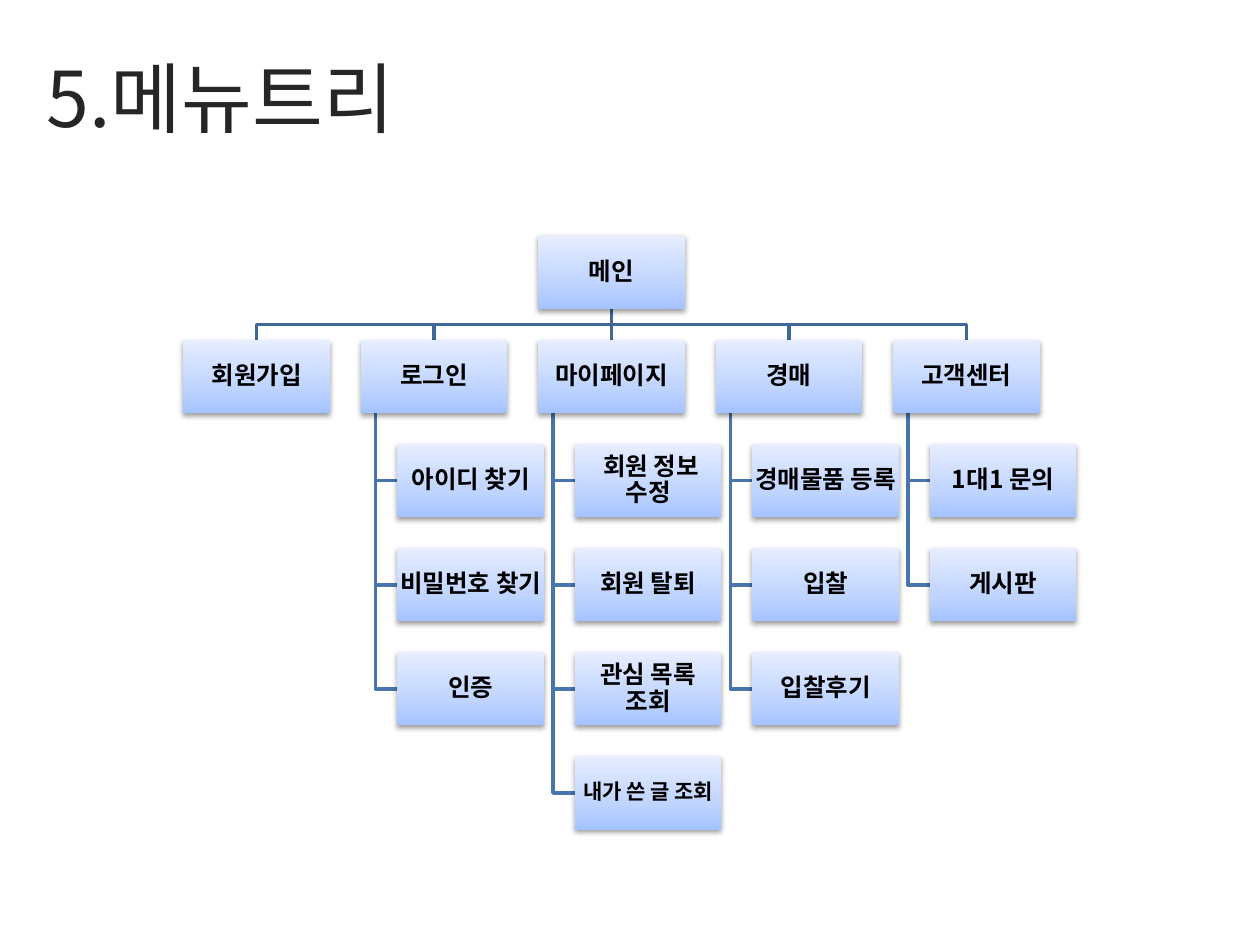
"""Build the menu tree slide: a title above a three-level tree of boxes."""
import lxml.etree
import pptx
import pptx.dml.color
import pptx.enum.shapes
import pptx.enum.text
import pptx.oxml
import pptx.oxml.ns
import pptx.util

TITLE = "5.메뉴트리"
ROOT = "메인"
MENUS = [
    ("회원가입", []),
    ("로그인", ["아이디 찾기", "비밀번호 찾기", "인증"]),
    ("마이페이지", [" 회원 정보 수정", "회원 탈퇴", "관심 목록 조회", "내가 쓴 글 조회"]),
    ("경매", ["경매물품 등록", "입찰", "입찰후기"]),
    ("고객센터", ["1대1 문의", "게시판"]),
]
SMALL_TEXTS = {"내가 쓴 글 조회": 12}
COLORS = {
    "title": "262626", "text": "000000", "shadow": "000000",
    "root_line": "3F6797", "child_line": "4875AC",
    "bottom": "A4C4FF", "middle": "BFD4FF", "top": "E6EEFF",
}
FONT = "Noto Sans CJK KR"
LEFT, TOP = 104.8, 134.7
BOX_WIDTH, BOX_HEIGHT = 83.8, 41.9
COLUMN_STEP, ROW_STEP = BOX_WIDTH * 1.21, BOX_HEIGHT * 1.42
CHILD_INDENT, TRUNK_INDENT = BOX_WIDTH * 0.25, BOX_WIDTH * 0.1
ROOT_COLUMN = len(MENUS) // 2
NAMESPACE = pptx.oxml.ns.nsdecls("a")
GRADIENT = (
    f'<a:gradFill {NAMESPACE} rotWithShape="1"><a:gsLst>'
    + "".join(
        f'<a:gs pos="{position}"><a:srgbClr val="{COLORS[name]}"/></a:gs>'
        for position, name in [(0, "bottom"), (35000, "middle"), (100000, "top")]
    )
    + '</a:gsLst><a:lin ang="16200000" scaled="1"/></a:gradFill>'
)
SHADOW = (
    f'<a:outerShdw {NAMESPACE} blurRad="40000" dist="20000" dir="5400000" rotWithShape="0">'
    f'<a:srgbClr val="{COLORS["shadow"]}"><a:alpha val="38000"/></a:srgbClr></a:outerShdw>'
)


def points(*values):
    return [pptx.util.Pt(value) for value in values]


def color(name):
    return pptx.dml.color.RGBColor.from_string(COLORS[name])


def column_left(column):
    return LEFT + column * COLUMN_STEP


def row_top(row):
    return TOP + row * ROW_STEP


def write(shape, text, size, color_name, bold=False):
    frame = shape.text_frame
    frame.word_wrap = True
    frame.vertical_anchor = pptx.enum.text.MSO_ANCHOR.MIDDLE
    frame.text = text
    paragraph = frame.paragraphs[0]
    font = paragraph.font
    font.size, font.bold, font.name = pptx.util.Pt(size), bold, FONT
    font.color.rgb = color(color_name)
    east_asian = lxml.etree.SubElement(font._element, pptx.oxml.ns.qn("a:ea"))
    east_asian.set("typeface", FONT)
    return paragraph


def add_box(slide, text, left, top):
    box = slide.shapes.add_shape(
        pptx.enum.shapes.MSO_SHAPE.RECTANGLE, *points(left, top, BOX_WIDTH, BOX_HEIGHT)
    )
    box.line.fill.background()
    box.shadow.inherit = False
    properties = box._element.spPr
    line = properties.find(pptx.oxml.ns.qn("a:ln"))
    line.addprevious(pptx.oxml.parse_xml(GRADIENT))
    effects = properties.find(pptx.oxml.ns.qn("a:effectLst"))
    effects.append(pptx.oxml.parse_xml(SHADOW))
    frame = box.text_frame
    frame.margin_left = frame.margin_right = pptx.util.Pt(0.7)
    frame.margin_top = frame.margin_bottom = pptx.util.Pt(0.7)
    paragraph = write(box, text, SMALL_TEXTS.get(text, 14), "text", True)
    paragraph.alignment = pptx.enum.text.PP_ALIGN.CENTER
    paragraph.line_spacing = 0.9
    return box


def style_line(shape, color_name):
    shape.line.color.rgb = color(color_name)
    shape.line.width = pptx.util.Pt(2)


def add_elbow(slide, vertices, color_name):
    start, *rest = [points(*vertex) for vertex in vertices]
    builder = slide.shapes.build_freeform(*start)
    builder.add_line_segments(rest, close=False)
    elbow = builder.convert_to_shape()
    elbow.fill.background()
    elbow.shadow.inherit = False
    style_line(elbow, color_name)


def add_lines(slide):
    root_x = column_left(ROOT_COLUMN) + BOX_WIDTH / 2
    root_bottom, menu_top = TOP + BOX_HEIGHT, row_top(1)
    branch_y = (root_bottom + menu_top) / 2
    for column, (_, children) in enumerate(MENUS):
        left = column_left(column)
        trunk_x = left + TRUNK_INDENT
        for row in range(2, len(children) + 2):
            child_y = row_top(row) + BOX_HEIGHT / 2
            vertices = [(trunk_x, menu_top + BOX_HEIGHT), (trunk_x, child_y), (left + CHILD_INDENT, child_y)]
            add_elbow(slide, vertices, "child_line")
        if column != ROOT_COLUMN:
            menu_x = left + BOX_WIDTH / 2
            vertices = [(root_x, root_bottom), (root_x, branch_y), (menu_x, branch_y), (menu_x, menu_top)]
            add_elbow(slide, vertices, "root_line")
    stem = slide.shapes.add_connector(
        pptx.enum.shapes.MSO_CONNECTOR.STRAIGHT, *points(root_x, root_bottom, root_x, menu_top)
    )
    style_line(stem, "root_line")
    lxml.etree.SubElement(stem._element.spPr, pptx.oxml.ns.qn("a:effectLst"))
    return stem


def main():
    presentation = pptx.Presentation()
    presentation.slide_width, presentation.slide_height = points(720, 540)
    slide = presentation.slides.add_slide(presentation.slide_layouts[6])
    title = slide.shapes.add_textbox(*points(19.4, 26.6, 683.3, 56.9))
    write(title, TITLE, 44, "title")
    stem = add_lines(slide)
    root_box = add_box(slide, ROOT, column_left(ROOT_COLUMN), TOP)
    menu_boxes = []
    for column, (menu, children) in enumerate(MENUS):
        left = column_left(column)
        menu_boxes.append(add_box(slide, menu, left, row_top(1)))
        for row, child in enumerate(children, 2):
            add_box(slide, child, left + CHILD_INDENT, row_top(row))
    stem.begin_connect(root_box, 2)
    stem.end_connect(menu_boxes[ROOT_COLUMN], 0)
    presentation.save("out.pptx")


if __name__ == "__main__":
    main()
